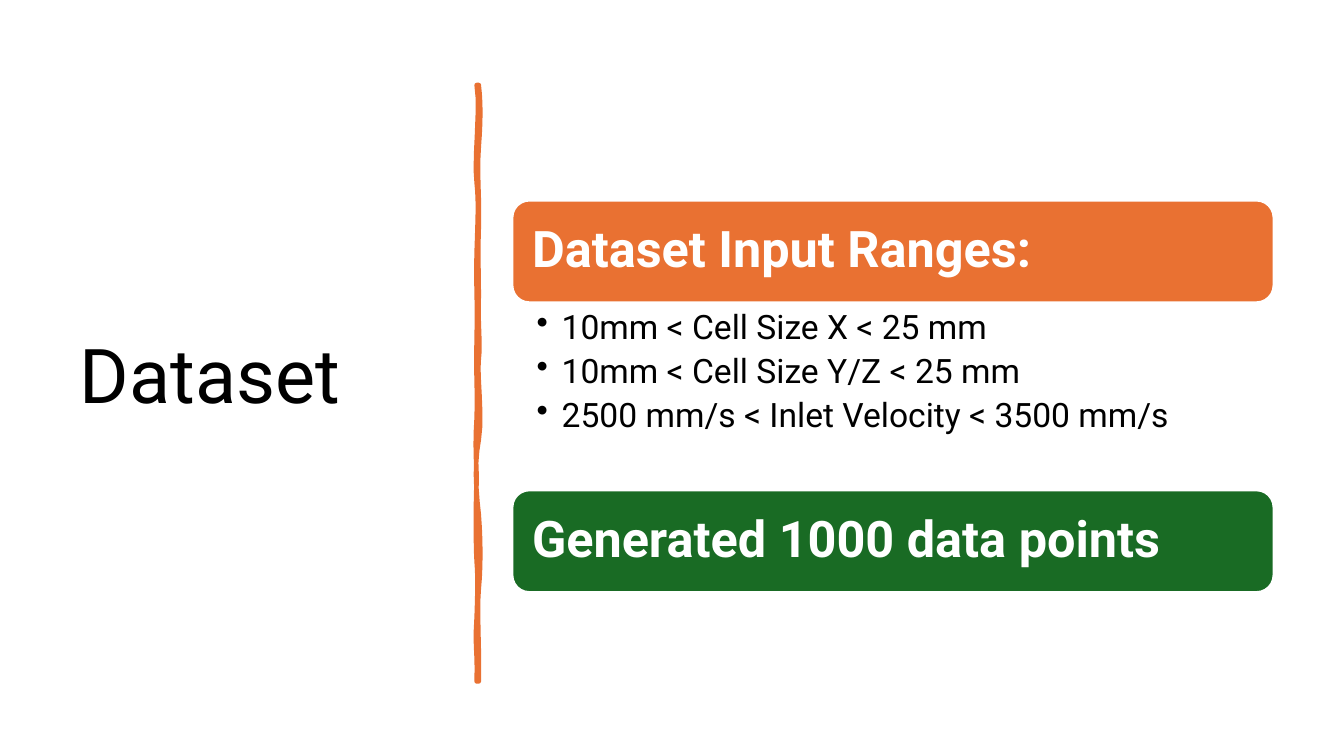
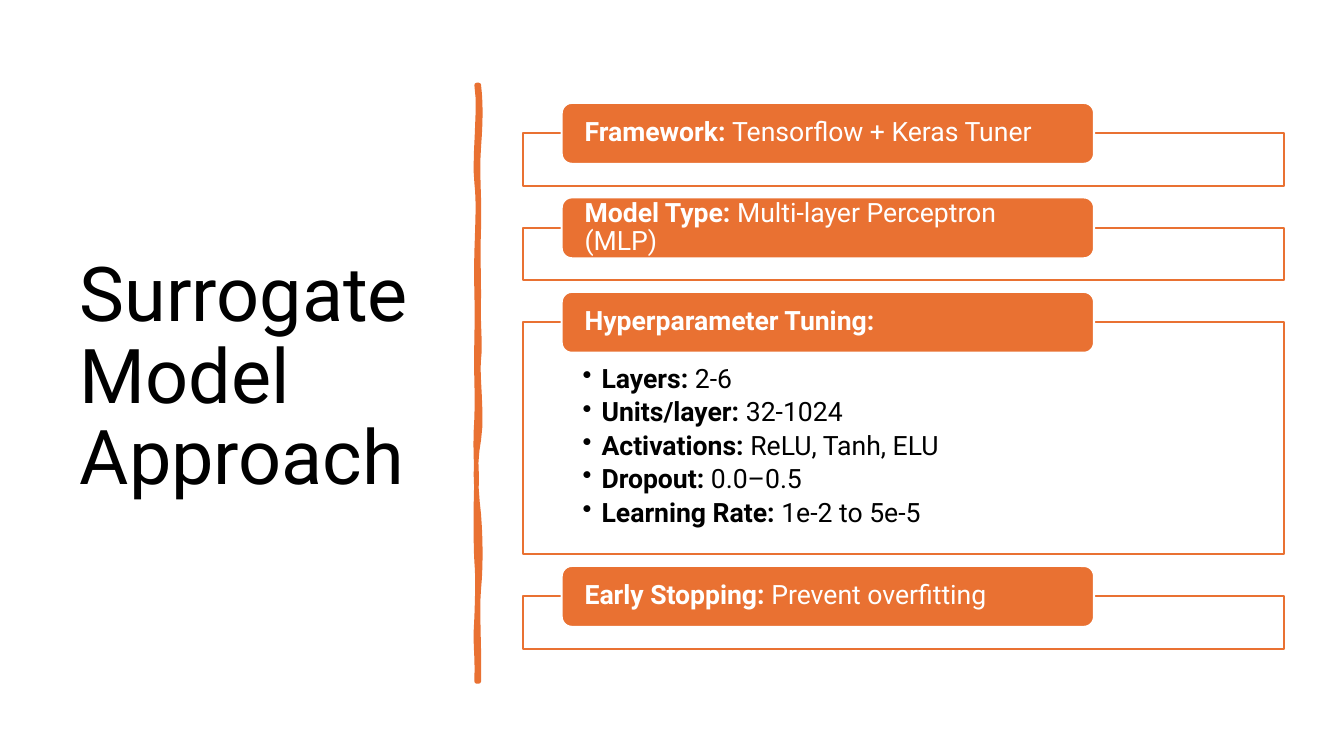
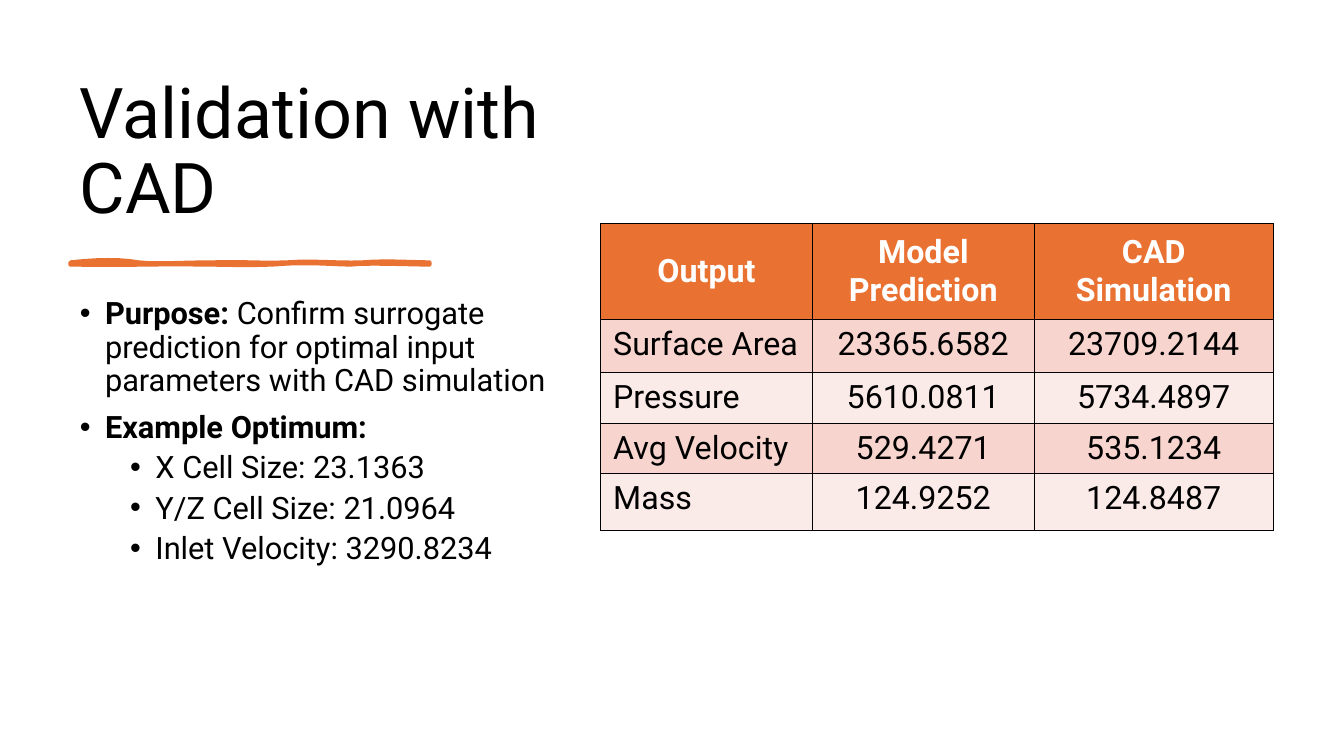
from dataclasses import dataclass
from typing import NamedTuple

from lxml.etree import SubElement
from pptx import Presentation
from pptx.dml.color import RGBColor
from pptx.enum.shapes import MSO_SHAPE
from pptx.enum.text import MSO_ANCHOR, MSO_AUTO_SIZE, PP_ALIGN
from pptx.oxml import parse_xml
from pptx.oxml.ns import nsdecls, qn
from pptx.shapes.autoshape import Shape
from pptx.slide import Slide
from pptx.table import _Cell
from pptx.text.text import TextFrame, _Paragraph
from pptx.util import Pt

# Shared style
EMU_PER_PX = 9525
FONT = "Roboto"
ORANGE = RGBColor(0xE9, 0x71, 0x32)
GREEN = RGBColor(0x19, 0x6B, 0x24)
WHITE = RGBColor(0xFF, 0xFF, 0xFF)
BLACK = RGBColor(0x00, 0x00, 0x00)
BAND_DARK = RGBColor(0xF7, 0xD5, 0xCE)
BAND_LIGHT = RGBColor(0xFB, 0xEB, 0xE8)
LINE_SPACING = 0.9
TITLE_ONLY, TITLE_AND_BODY = 5, 1


class Box(NamedTuple):
    left: int
    top: int
    width: int
    height: int


class Insets(NamedTuple):
    left: int
    top: int
    right: int
    bottom: int


class Words(NamedTuple):
    text: str
    bold: bool = False


@dataclass(frozen=True)
class Item:
    """One list entry: its words, level and paragraph spacing."""
    words: list[Words]
    level: int = 0
    indent: int = 24
    hanging: int = 24
    before: float = 0
    after: float = 0


@dataclass(frozen=True)
class Topic:
    """A labelled frame of the approach slide."""
    heading: list[Words]
    details: list[Item]
    height: int = 50


Curve = list[tuple[int, int]]  # start point, then three points per Bezier arc

SIDE_TITLE = Box(66, 67, 359, 587)
TOP_TITLE = Box(66, 67, 506, 156)

VERTICAL_BRUSH: Curve = [
    (456, 81), (458, 98), (458, 114), (456, 140), (454, 166), (457, 187), (456, 217),
    (455, 247), (456, 252), (456, 282), (455, 312), (458, 328), (456, 342),
    (454, 355), (460, 397), (456, 419), (452, 439), (453, 465), (456, 490),
    (458, 515), (458, 541), (456, 561), (454, 579), (457, 624), (456, 649),
    (455, 649), (454, 649), (454, 649), (455, 620), (452, 618), (454, 588),
    (455, 560), (455, 547), (454, 535), (453, 522), (453, 475), (454, 458),
    (454, 441), (452, 427), (454, 398), (455, 371), (453, 358), (454, 322),
    (455, 286), (453, 270), (454, 240), (455, 209), (456, 192), (454, 174),
    (451, 156), (458, 100), (454, 81),
]
HORIZONTAL_BRUSH: Curve = [
    (67, 250), (93, 247), (116, 247), (132, 250), (149, 252), (170, 250), (201, 250),
    (231, 249), (250, 251), (273, 250), (296, 248), (325, 251), (345, 250),
    (364, 248), (396, 250), (409, 250), (409, 250), (409, 251), (409, 252),
    (392, 252), (349, 250), (334, 252), (319, 252), (292, 249), (259, 252),
    (226, 253), (222, 252), (191, 252), (159, 251), (127, 253), (67, 252),
]


def px(length: float) -> int:
    return round(length * EMU_PER_PX)


def emu(box: Box) -> list[int]:
    return [px(length) for length in box]


# Text
def add_words(paragraph: _Paragraph, words: list[Words], size: int, color: RGBColor) -> None:
    paragraph.line_spacing = LINE_SPACING
    for part in words:
        run = paragraph.add_run()
        run.text = part.text
        run.font.name = FONT
        run.font.size = Pt(size)
        run.font.bold = part.bold
        run.font.color.rgb = color


def set_frame(frame: TextFrame, insets: Insets, anchor: MSO_ANCHOR) -> None:
    frame.word_wrap = True
    frame.auto_size = MSO_AUTO_SIZE.NONE
    frame.vertical_anchor = anchor
    frame.margin_left, frame.margin_top, frame.margin_right, frame.margin_bottom = emu(insets)


def fill_list(frame: TextFrame, items: list[Item], size: int) -> None:
    for index, item in enumerate(items):
        paragraph = frame.paragraphs[0] if index == 0 else frame.add_paragraph()
        paragraph.level = item.level
        paragraph.alignment = PP_ALIGN.LEFT
        properties = paragraph._p.get_or_add_pPr()
        properties.set("marL", str(px(item.indent)))
        properties.set("indent", str(px(-item.hanging)))
        SubElement(properties, qn("a:buChar")).set("char", "•")
        paragraph.space_before = Pt(item.before if index else 0)
        paragraph.space_after = Pt(item.after)
        add_words(paragraph, item.words, size, BLACK)


# Shared parts
def add_title(slide: Slide, text: str, box: Box, size: int, anchor: MSO_ANCHOR) -> None:
    title = slide.shapes.title
    title.left, title.top, title.width, title.height = emu(box)
    set_frame(title.text_frame, Insets(10, 5, 10, 5), anchor)
    paragraph = title.text_frame.paragraphs[0]
    paragraph.alignment = PP_ALIGN.LEFT
    add_words(paragraph, [Words(text)], size, BLACK)


def add_brush(slide: Slide, curve: Curve, weight: float) -> None:
    steps = 6
    outline = [curve[0]]
    for start in range(0, len(curve) - 3, 3):
        arc = curve[start:start + 4]
        for step in range(1, steps + 1):
            t = step / steps
            weights = ((1 - t) ** 3, 3 * t * (1 - t) ** 2, 3 * t * t * (1 - t), t ** 3)
            outline.append(tuple(sum(w * p[axis] for w, p in zip(weights, arc)) for axis in (0, 1)))
    points = [(px(x), px(y)) for x, y in outline]
    builder = slide.shapes.build_freeform(*points[0], scale=1.0)
    builder.add_line_segments(points[1:], close=True)
    brush = builder.convert_to_shape()
    paint(brush, ORANGE, ORANGE, weight)
    SubElement(brush.line._get_or_add_ln(), qn("a:round"))


def paint(shape: Shape, fill: RGBColor, line: RGBColor, weight: float = 1.5) -> None:
    shape.shadow.inherit = False
    shape.fill.solid()
    shape.fill.fore_color.rgb = fill
    shape.line.color.rgb = line
    shape.line.width = Pt(weight)


def add_card(slide: Slide, box: Box, words: list[Words], size: int, fill: RGBColor, inset: int) -> None:
    card = slide.shapes.add_shape(MSO_SHAPE.ROUNDED_RECTANGLE, *emu(box))
    paint(card, fill, WHITE)
    set_frame(card.text_frame, Insets(inset, 0, inset, 0), MSO_ANCHOR.MIDDLE)
    paragraph = card.text_frame.paragraphs[0]
    paragraph.alignment = PP_ALIGN.LEFT
    add_words(paragraph, words, size, WHITE)


def add_side_titled_slide(deck: Presentation, title: str) -> Slide:
    slide = deck.slides.add_slide(deck.slide_layouts[TITLE_ONLY])
    add_title(slide, title, SIDE_TITLE, 54, MSO_ANCHOR.MIDDLE)
    add_brush(slide, VERTICAL_BRUSH, 3.25)
    return slide


# Slide 1: dataset
def build_dataset(deck: Presentation) -> None:
    slide = add_side_titled_slide(deck, "Dataset")
    left, width, height = 488, 725, 97
    cards = [
        (191, "Dataset Input Ranges:", ORANGE),
        (467, "Generated 1000 data points", GREEN),
    ]
    for top, heading, fill in cards:
        add_card(slide, Box(left, top, width, height), [Words(heading, True)], 36, fill, 14)
    ranges = [
        "10mm < Cell Size X < 25 mm",
        "10mm < Cell Size Y/Z < 25 mm",
        "2500 mm/s < Inlet Velocity < 3500 mm/s",
    ]
    range_list = slide.shapes.add_textbox(*emu(Box(left, 293, width, 131)))
    set_frame(range_list.text_frame, Insets(23, 3, 18, 3), MSO_ANCHOR.TOP)
    items = [Item([Words(text)], level=1, after=5.5) for text in ranges]
    fill_list(range_list.text_frame, items, 24)


# Slide 2: surrogate model
def build_approach(deck: Presentation) -> None:
    slide = add_side_titled_slide(deck, "Surrogate Model Approach")
    settings = [
        ("Layers: ", "2-6"),
        ("Units/layer: ", "32-1024"),
        ("Activations:", " ReLU, Tanh, ELU"),
        ("Dropout:", " 0.0–0.5"),
        ("Learning Rate:", " 1e-2 to 5e-5"),
    ]
    tuning = [
        Item([Words(name, True), Words(value)], level=1, indent=18, hanging=18, after=3.4)
        for name, value in settings
    ]
    topics = [
        Topic([Words("Framework: ", True), Words("Tensorflow + Keras Tuner")], []),
        Topic([Words("Model Type: ", True), Words("Multi-layer Perceptron (MLP)")], []),
        Topic([Words("Hyperparameter Tuning:", True)], tuning, height=221),
        Topic([Words("Early Stopping:", True), Words(" Prevent overfitting")], []),
    ]
    top, gap, label_height = 127, 40, 58
    for topic in topics:
        panel = slide.shapes.add_shape(MSO_SHAPE.RECTANGLE, *emu(Box(498, top, 725, topic.height)))
        paint(panel, WHITE, ORANGE)
        set_frame(panel.text_frame, Insets(57, 41, 57, 14), MSO_ANCHOR.TOP)
        fill_list(panel.text_frame, topic.details, 19)
        label = Box(535, top - label_height // 2, 507, label_height)
        add_card(slide, label, topic.heading, 19, ORANGE, 19)
        top += topic.height + gap


# Slide 3: validation
def set_borders(cell: _Cell) -> None:
    properties = cell._tc.get_or_add_tcPr()
    for index, side in enumerate(("lnL", "lnR", "lnT", "lnB")):
        properties.insert(index, parse_xml(
            f'<a:{side} {nsdecls("a")} w="{Pt(1)}"><a:solidFill>'
            f'<a:srgbClr val="{BLACK}"/></a:solidFill></a:{side}>'))


def add_results_table(slide: Slide, rows: list[tuple[str, str, str]]) -> None:
    widths, heights = (202, 211, 228), (91, 51, 48, 48, 54)
    box = Box(572, 213, sum(widths), sum(heights))
    table = slide.shapes.add_table(len(rows), len(widths), *emu(box)).table
    for column, width in zip(table.columns, widths):
        column.width = px(width)
    for r, (row, height) in enumerate(zip(rows, heights)):
        table.rows[r].height = px(height)
        header = r == 0
        fill = ORANGE if header else BAND_DARK if r % 2 else BAND_LIGHT
        for c, text in enumerate(row):
            cell = table.cell(r, c)
            cell.fill.solid()
            cell.fill.fore_color.rgb = fill
            set_borders(cell)
            cell.margin_left = cell.margin_right = px(12)
            cell.margin_top = cell.margin_bottom = px(6)
            cell.vertical_anchor = MSO_ANCHOR.MIDDLE if header else MSO_ANCHOR.TOP
            paragraph = cell.text_frame.paragraphs[0]
            paragraph.alignment = PP_ALIGN.CENTER if header or c else PP_ALIGN.LEFT
            add_words(paragraph, [Words(text, header)], 23, WHITE if header else BLACK)
            paragraph.line_spacing = 1.0


def build_validation(deck: Presentation) -> None:
    slide = deck.slides.add_slide(deck.slide_layouts[TITLE_AND_BODY])
    add_title(slide, "Validation with CAD", TOP_TITLE, 50, MSO_ANCHOR.BOTTOM)
    add_brush(slide, HORIZONTAL_BRUSH, 3)
    purpose = "Confirm surrogate prediction for optimal input parameters with CAD simulation"
    optimum = ["X Cell Size: 23.1363", "Y/Z Cell Size: 21.0964", "Inlet Velocity: 3290.8234"]
    items = [
        Item([Words("Purpose: ", True), Words(purpose)]),
        Item([Words("Example Optimum:", True)], before=10),
        *(Item([Words(text)], level=1, indent=72, before=5) for text in optimum),
    ]
    body = slide.placeholders[1]
    body.left, body.top, body.width, body.height = emu(Box(66, 279, 506, 372))
    set_frame(body.text_frame, Insets(10, 5, 10, 5), MSO_ANCHOR.TOP)
    fill_list(body.text_frame, items, 22)
    add_results_table(slide, [
        ("Output", "Model Prediction", "CAD Simulation"),
        ("Surface Area", "23365.6582", "23709.2144"),
        ("Pressure", "5610.0811", "5734.4897"),
        ("Avg Velocity", "529.4271", "535.1234"),
        ("Mass", "124.9252", "124.8487"),
    ])


def main() -> None:
    deck = Presentation()
    deck.slide_width, deck.slide_height = px(1280), px(720)
    build_dataset(deck)
    build_approach(deck)
    build_validation(deck)
    deck.save("out.pptx")


if __name__ == "__main__":
    main()
